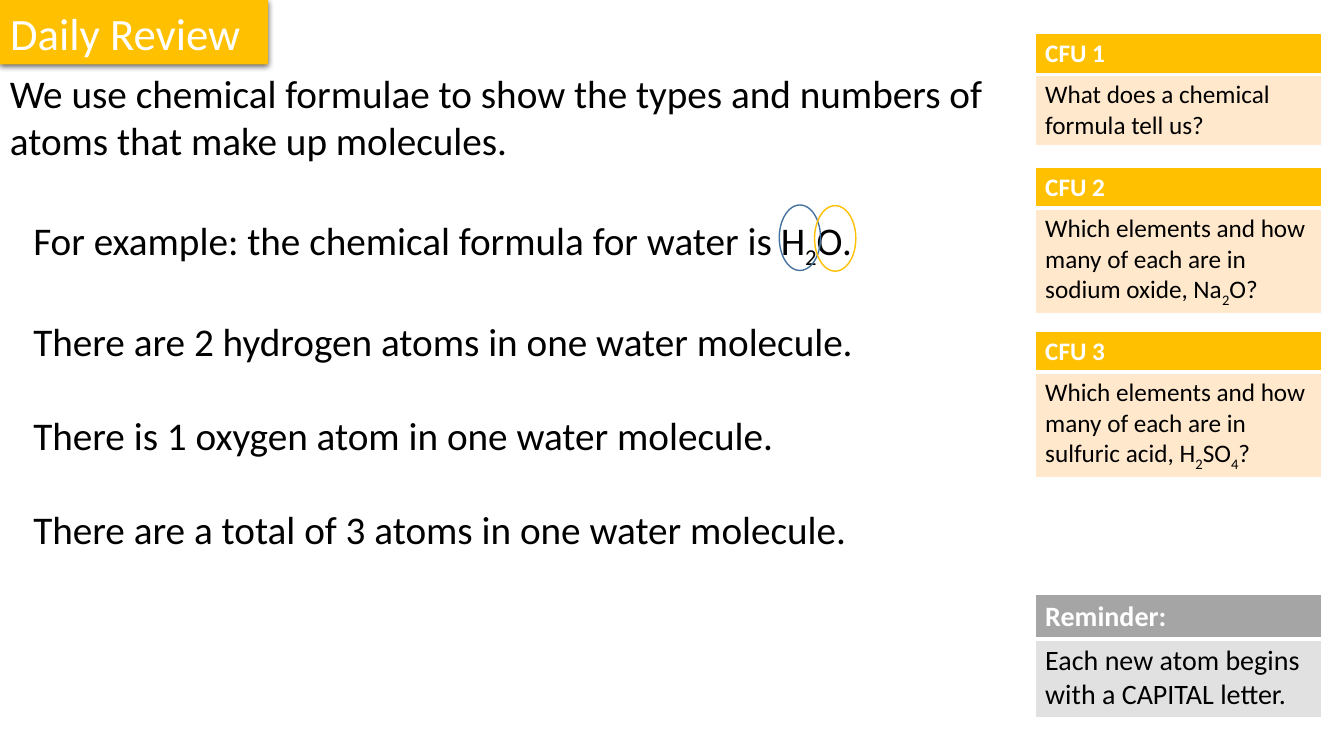
from lxml.etree import SubElement
from pptx import Presentation
from pptx.dml.color import RGBColor
from pptx.enum.shapes import MSO_SHAPE as Shape
from pptx.enum.text import MSO_ANCHOR as Anchor, MSO_AUTO_SIZE as AutoSize, PP_ALIGN as Align
from pptx.oxml import parse_xml
from pptx.oxml.ns import nsdecls, qn
from pptx.util import Pt

WHITE = RGBColor(0xFF, 0xFF, 0xFF)
BLACK = RGBColor(0, 0, 0)
AMBER = RGBColor(0xFF, 0xC0, 0x00)
CREAM = RGBColor(0xFF, 0xE8, 0xCC)
GREY = RGBColor(0xA5, 0xA5, 0xA5)
PALE_GREY = RGBColor(0xE1, 0xE1, 0xE1)
BLUE = RGBColor(0x43, 0x73, 0x9E)
LINE_HEIGHT = 1.22


def write(frame, *lines, size=28, color=BLACK, bold=False, gap=0):
    """Write one paragraph per line; text between bars is subscript."""
    frame.word_wrap = True
    for number, line in enumerate(lines):
        paragraph = frame.add_paragraph() if number else frame.paragraphs[0]
        paragraph.alignment = Align.LEFT
        if number:
            paragraph.space_before = Pt(gap)
        for part, text in enumerate(line.split("|")):
            run = paragraph.add_run()
            run.text = text
            run.font.name = "Calibri"
            run.font.size = Pt(size)
            run.font.bold = bold
            run.font.color.rgb = color
            if part % 2:
                run.font._element.set("baseline", "-25000")


def set_borders(cell, **widths):
    properties = cell._tc.get_or_add_tcPr()
    for side in "LRTB":
        border = SubElement(properties, qn(f"a:ln{side}"), w=str(Pt(widths.get(side, 1))))
        fill = SubElement(border, qn("a:solidFill"))
        SubElement(fill, qn("a:srgbClr"), val=str(WHITE))


deck = Presentation()
deck.slide_width, deck.slide_height = Pt(960), Pt(540)
slide = deck.slides.add_slide(deck.slide_layouts[5])

# Title tag with a soft shadow
title = slide.shapes.title
title.left, title.top, title.width, title.height = Pt(0), Pt(0), Pt(191.5), Pt(46)
title._element.spPr.append(parse_xml(
    f'<a:prstGeom {nsdecls("a")} prst="homePlate"><a:avLst/></a:prstGeom>'))
title.fill.solid()
title.fill.fore_color.rgb = AMBER
title._element.spPr.append(parse_xml(
    f'<a:effectLst {nsdecls("a")}><a:outerShdw blurRad="{Pt(4.5)}" dist="{Pt(1.5)}" '
    'dir="5400000" algn="ctr" rotWithShape="0"><a:srgbClr val="000000">'
    '<a:alpha val="63000"/></a:srgbClr></a:outerShdw></a:effectLst>'))
write(title.text_frame, "Daily Review", size=32, color=WHITE)
title.text_frame.word_wrap = False
title.text_frame.auto_size = AutoSize.NONE
title.text_frame.vertical_anchor = Anchor.MIDDLE

# Statement and worked example
statement = slide.shapes.add_textbox(Pt(0), Pt(46), Pt(717), Pt(75))
write(statement.text_frame,
      "We use chemical formulae to show the types and numbers of atoms that make up molecules.")
example = slide.shapes.add_textbox(Pt(16.7), Pt(151.2), Pt(700.5), Pt(245))
write(example.text_frame,
      "For example: the chemical formula for water is H|2|O.",
      "There are 2 hydrogen atoms in one water molecule.",
      "There is 1 oxygen atom in one water molecule.",
      "There are a total of 3 atoms in one water molecule.",
      gap=33.5)

# Question cards and reminder: top, heading, body, body lines, size, colours
cards = [
    (24, "CFU 1", "What does a chemical formula tell us?", 2, 18, AMBER, CREAM),
    (119.6, "CFU 2", "Which elements and how many of each are in sodium oxide, Na|2|O?",
     3, 18, AMBER, CREAM),
    (236.8, "CFU 3", "Which elements and how many of each are in sulfuric acid, H|2|SO|4|?",
     3, 18, AMBER, CREAM),
    (424.8, "Reminder:", "Each new atom begins with a CAPITAL letter.",
     2, 20, GREY, PALE_GREY),
]
for top, heading, question, line_count, size, strong, pale in cards:
    heights = [Pt(count * size * LINE_HEIGHT + 7.2) for count in (1, line_count)]
    card = slide.shapes.add_table(2, 1, Pt(739.4), Pt(top), Pt(205), sum(heights)).table
    for row, height in zip(card.rows, heights):
        row.height = height
    head, body = card.cell(0, 0), card.cell(1, 0)
    set_borders(head, B=3)
    set_borders(body, T=3)
    for cell, color in ((head, strong), (body, pale)):
        cell.fill.solid()
        cell.fill.fore_color.rgb = color
    write(head.text_frame, heading, size=size, color=WHITE, bold=True)
    write(body.text_frame, question, size=size)

# Rings around the two elements in the formula
for left, top, color in ((556.6, 146.4, BLUE), (581.8, 146.9, AMBER)):
    ring = slide.shapes.add_shape(Shape.OVAL, Pt(left), Pt(top), Pt(29.5), Pt(46.8))
    ring.shadow.inherit = False
    ring.fill.background()
    ring.line.color.rgb = color
    ring.line.width = Pt(1)

deck.save("out.pptx")
